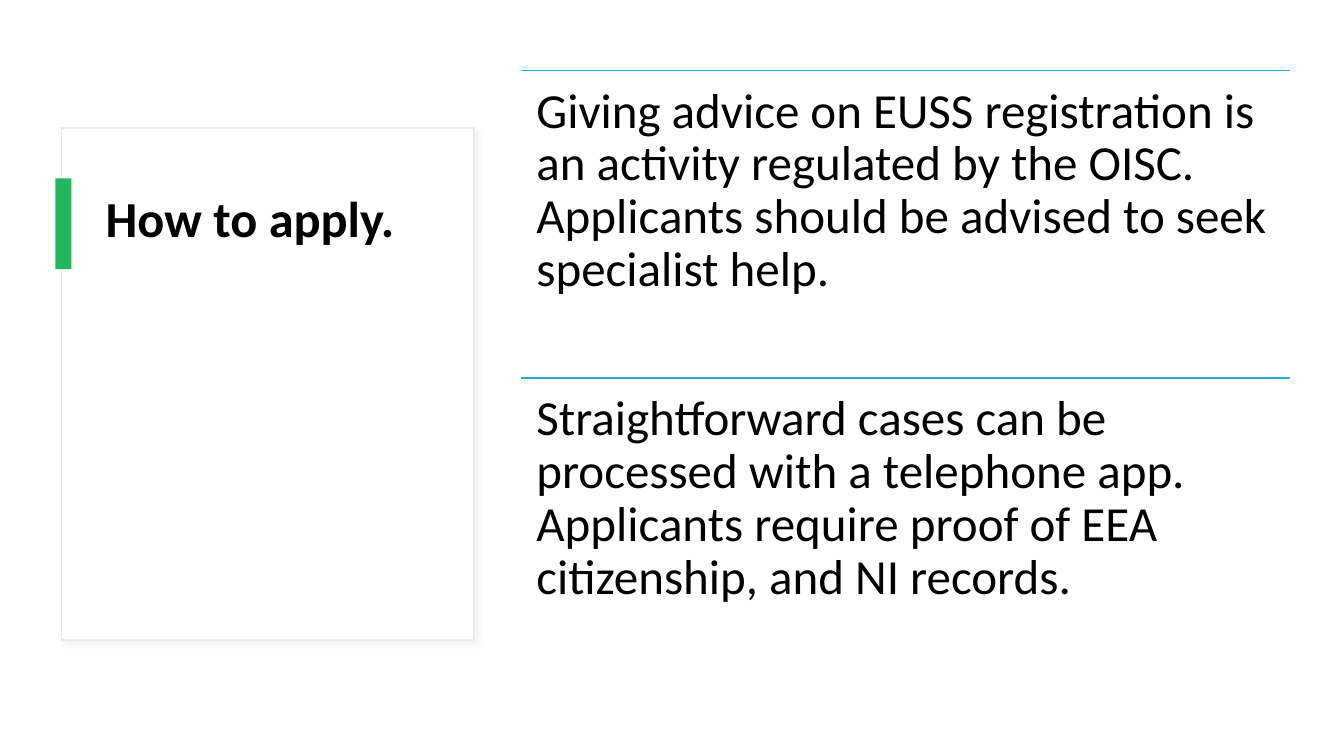
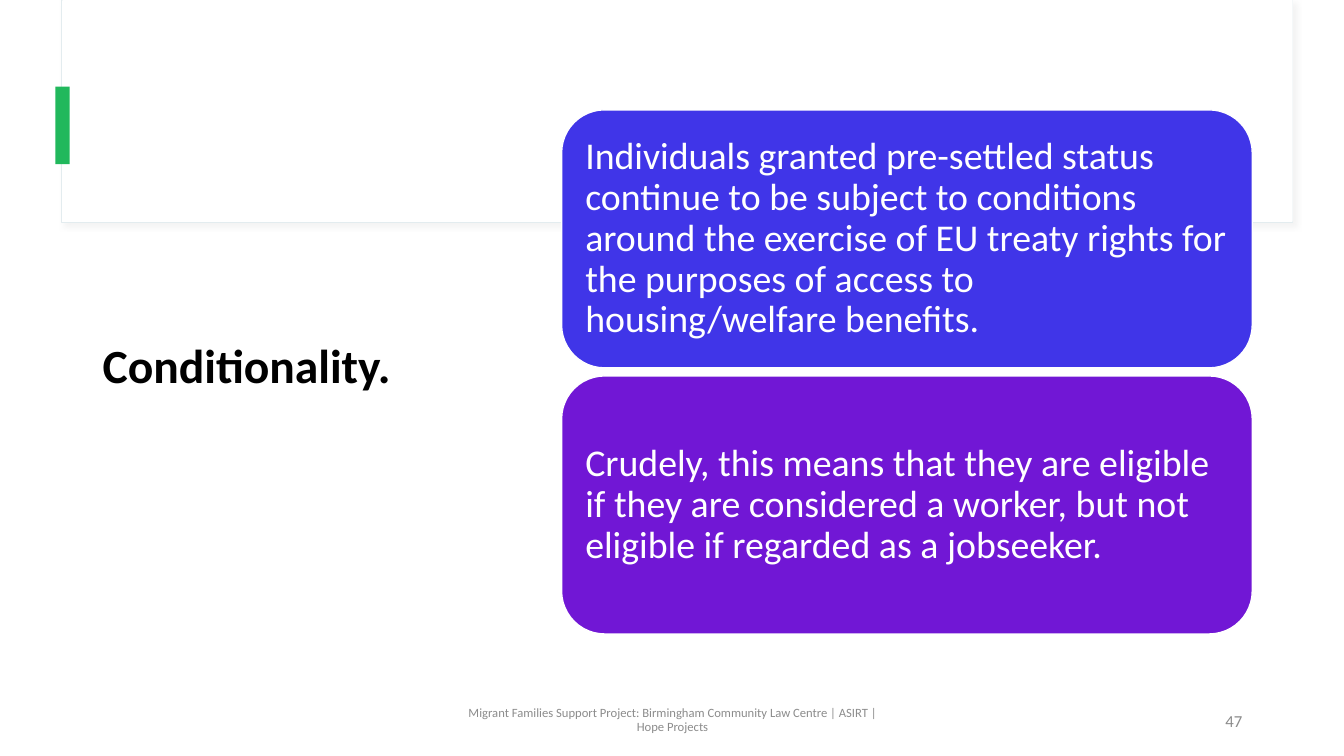
from dataclasses import dataclass

from lxml import etree
from pptx import Presentation
from pptx.dml.color import RGBColor
from pptx.enum.shapes import MSO_CONNECTOR, MSO_SHAPE
from pptx.enum.text import MSO_ANCHOR, PP_ALIGN
from pptx.oxml.ns import qn
from pptx.shapes.autoshape import Shape
from pptx.slide import Slide
from pptx.util import Inches, Pt

RECTANGLE = MSO_SHAPE.RECTANGLE
ROUNDED = MSO_SHAPE.ROUNDED_RECTANGLE
STRAIGHT = MSO_CONNECTOR.STRAIGHT
TOP, MIDDLE = MSO_ANCHOR.TOP, MSO_ANCHOR.MIDDLE
LEFT, CENTER, RIGHT = PP_ALIGN.LEFT, PP_ALIGN.CENTER, PP_ALIGN.RIGHT

FONT = "Calibri"
COLORS = {
    "white": "FFFFFF",
    "black": "000000",
    "border": "E3ECEF",
    "shadow": "D9D9D9",
    "accent": "21B85C",
    "rule": "25AED5",
    "footer": "8C8C8C",
    "blue": "4035E8",
    "purple": "7117D5",
}


@dataclass(frozen=True)
class Area:
    left: float
    top: float
    width: float
    height: float

    def lengths(self) -> list[int]:
        return [Inches(v) for v in (self.left, self.top, self.width, self.height)]


@dataclass(frozen=True)
class TextStyle:
    size: float
    color: str = "black"
    bold: bool = False
    align: PP_ALIGN = LEFT
    anchor: MSO_ANCHOR = TOP
    inset_x: float = 0.1
    inset_y: float = 0.05
    line_spacing: float = 0.9


@dataclass(frozen=True)
class Card:
    text: str
    color: str


TOP_TITLE = TextStyle(36, bold=True)
MIDDLE_TITLE = TextStyle(34, bold=True, anchor=MIDDLE)
ADVICE = TextStyle(35, inset_x=0.15, inset_y=0.15)
CARD = TextStyle(27, "white", anchor=MIDDLE, inset_x=0.11, inset_y=0.11)
FOOTER = TextStyle(9, "footer", align=CENTER, anchor=MIDDLE)
PAGE_NUMBER = TextStyle(12, "footer", align=RIGHT, anchor=MIDDLE, line_spacing=1.0)

ADVICE_AREA = Area(5.17, 0.7, 7.62, 3.05)
ADVICE_TEXTS = (
    "Giving advice on EUSS registration is an activity regulated by the OISC. "
    "Applicants should be advised to seek specialist help.",
    "Straightforward cases can be processed with a telephone app. "
    "Applicants require proof of EEA citizenship, and NI records.",
)

CARD_AREA = Area(5.57, 1.09, 6.85, 2.56)
CARD_PITCH = 2.64
CARDS = (
    Card(
        "Individuals granted pre-settled status continue to be subject to conditions "
        "around the exercise of EU treaty rights for the purposes of access to "
        "housing/welfare benefits.",
        "blue",
    ),
    Card(
        "Crudely, this means that they are eligible if they are considered a worker, "
        "but not eligible if regarded as a jobseeker.",
        "purple",
    ),
)


def rgb(name: str) -> RGBColor:
    return RGBColor.from_string(COLORS[name])


def apply_values(target: object, values: dict[str, object]) -> None:
    for name, value in values.items():
        setattr(target, name, value)


def write_text(box: Shape, text: str, style: TextStyle) -> None:
    frame = box.text_frame
    apply_values(frame, {
        "word_wrap": True,
        "vertical_anchor": style.anchor,
        "margin_left": Inches(style.inset_x),
        "margin_right": Inches(style.inset_x),
        "margin_top": Inches(style.inset_y),
        "margin_bottom": Inches(style.inset_y),
    })
    para = frame.paragraphs[0]
    apply_values(para, {"alignment": style.align, "line_spacing": style.line_spacing})
    span = para.add_run()
    span.text = text
    apply_values(span.font, {"name": FONT, "size": Pt(style.size), "bold": style.bold})
    span.font.color.rgb = rgb(style.color)


def add_text(page: Slide, area: Area, text: str, style: TextStyle) -> None:
    write_text(page.shapes.add_textbox(*area.lengths()), text, style)


def add_block(page: Slide, area: Area, fill: str, line: str | None = None,
              line_width: float = 1, kind: MSO_SHAPE = RECTANGLE) -> Shape:
    """Add a flat filled shape, outlined only when a line colour is given."""
    block = page.shapes.add_shape(kind, *area.lengths())
    block.shadow.inherit = False
    block.fill.solid()
    block.fill.fore_color.rgb = rgb(fill)
    if line:
        block.line.color.rgb = rgb(line)
        block.line.width = Pt(line_width)
    else:
        block.line.fill.background()
    return block


def add_panel(page: Slide, area: Area, line_width: float) -> None:
    """Add a white bordered panel with a soft shadow to the lower right."""
    panel = add_block(page, area, "white", "border", line_width)
    effects = panel.element.spPr.find(qn("a:effectLst"))
    shadow = etree.SubElement(effects, qn("a:outerShdw"), {
        "blurRad": str(Pt(4)), "dist": str(Pt(3)), "dir": str(45 * 60000),
        "algn": "tl", "rotWithShape": "0",
    })
    color = etree.SubElement(shadow, qn("a:srgbClr"), val=COLORS["shadow"])
    etree.SubElement(color, qn("a:alpha"), val="30000")


def add_rule(page: Slide, left: float, top: float, width: float) -> None:
    rule = page.shapes.add_connector(
        STRAIGHT, Inches(left), Inches(top), Inches(left + width), Inches(top))
    rule.line.color.rgb = rgb("rule")
    rule.line.width = Pt(1)
    etree.SubElement(rule.element.spPr, qn("a:effectLst"))


def build_how_to_apply(page: Slide) -> None:
    add_panel(page, Area(0.61, 1.27, 4.09, 5.08), 1)
    add_text(page, Area(0.95, 1.88, 3.39, 3.85), "How to apply.", TOP_TITLE)
    add_block(page, Area(0.55, 1.77, 0.16, 0.9), "accent")
    first = ADVICE_AREA
    for index, text in enumerate(ADVICE_TEXTS):
        top = first.top + index * first.height
        add_rule(page, first.left, top, first.width)
        add_text(page, Area(first.left, top, first.width, first.height), text, ADVICE)


def build_conditionality(page: Slide) -> None:
    add_panel(page, Area(0.61, 0, 12.21, 2.21), 0.75)
    add_block(page, Area(0.62, 0, 12.2, 2.2), "white")
    add_block(page, Area(0.55, 0.86, 0.14, 0.77), "accent")
    add_text(page, Area(4.42, 6.95, 4.5, 0.4),
             "Migrant Families Support Project: Birmingham Community Law Centre "
             "| ASIRT | Hope Projects", FOOTER)
    add_text(page, Area(9.42, 6.95, 3, 0.4), "47", PAGE_NUMBER)
    add_text(page, Area(0.92, 0.61, 3.69, 6.09), "Conditionality.", MIDDLE_TITLE)
    first = CARD_AREA
    for index, card in enumerate(CARDS):
        area = Area(first.left, first.top + index * CARD_PITCH, first.width, first.height)
        block = add_block(page, area, card.color, "white", kind=ROUNDED)
        write_text(block, card.text, CARD)


def main() -> None:
    deck = Presentation()
    deck.slide_width = Inches(13.33)
    deck.slide_height = Inches(7.5)
    blank = deck.slide_layouts[6]
    for build in (build_how_to_apply, build_conditionality):
        build(deck.slides.add_slide(blank))
    deck.save("out.pptx")


if __name__ == "__main__":
    main()
